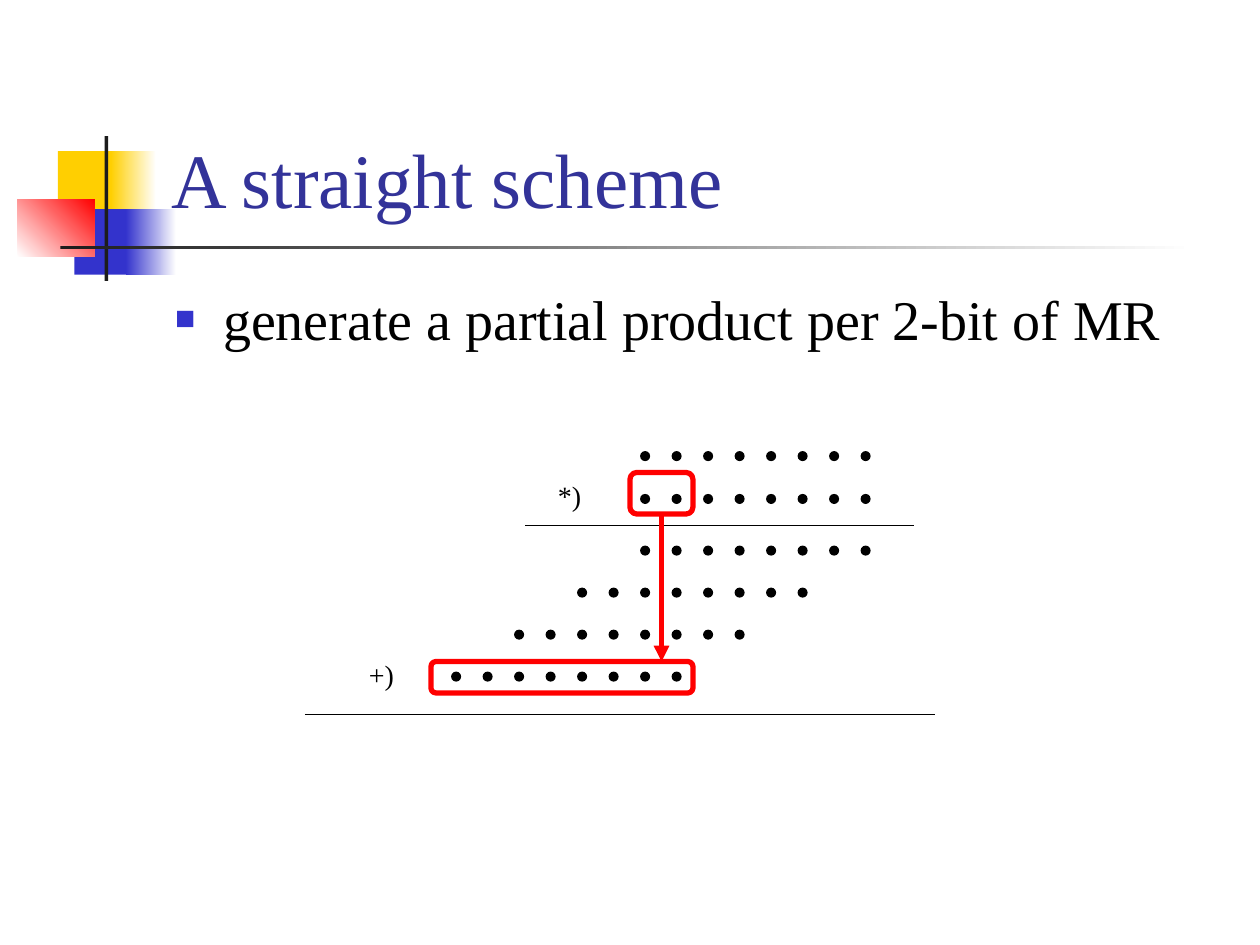
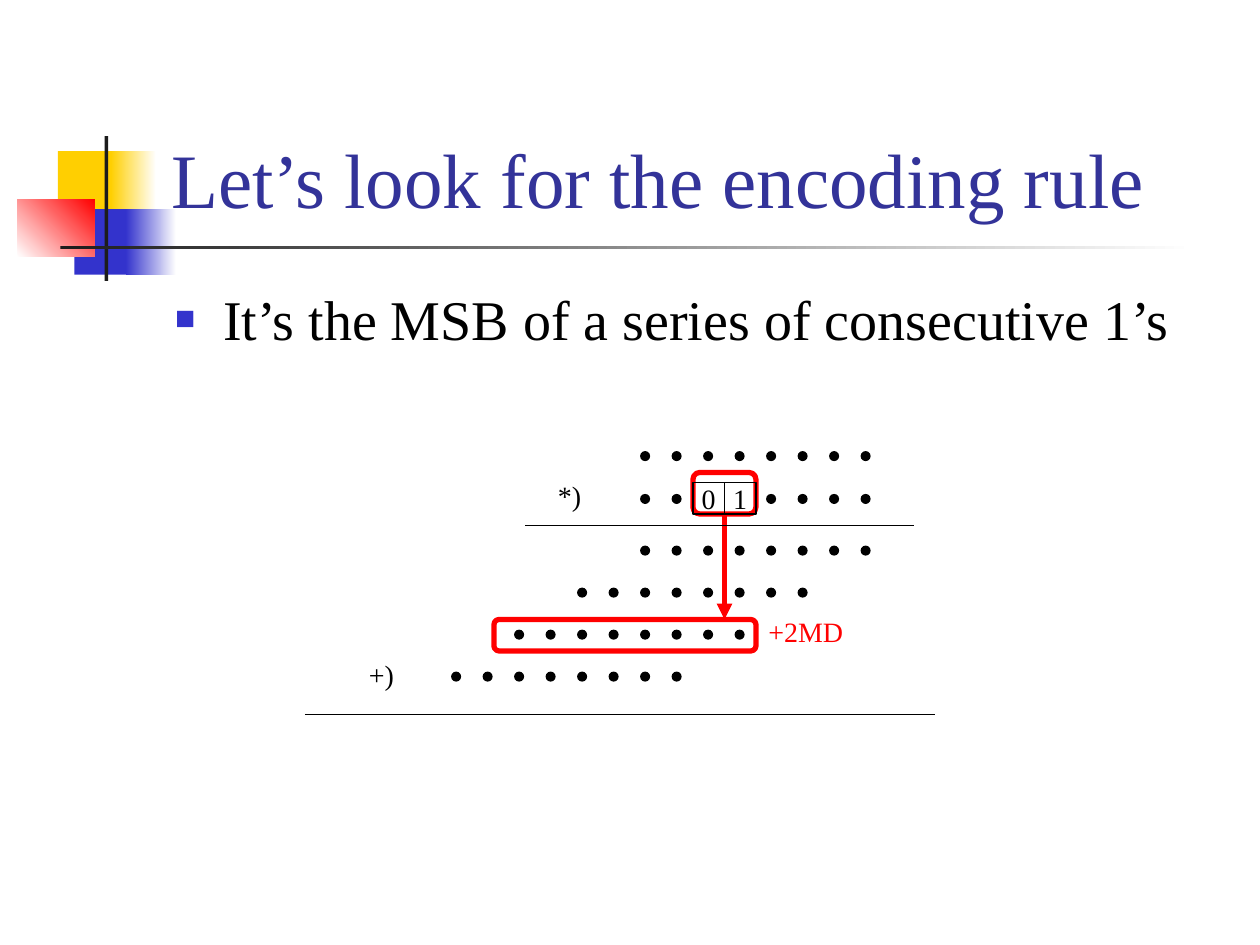
from lxml.etree import SubElement as Sub
from pptx import Presentation
from pptx.dml.color import RGBColor as RGB
from pptx.enum.shapes import MSO_CONNECTOR as Link, MSO_SHAPE as Kind
from pptx.enum.text import MSO_ANCHOR as Anchor, MSO_AUTO_SIZE as Auto, PP_ALIGN as Align
from pptx.oxml.ns import qn
from pptx.util import Inches, Pt

FONT = "Times New Roman"
BLACK, WHITE, RED = "000000", "FFFFFF", "FF0000"
GOLD, BLUE, INDIGO, DARK = "FFCF01", "3333CC", "333399", "1C1C1C"
BANDS = [
    ((0.46, 1.2, 0.48, 0.52), [GOLD], 0),
    ((0.88, 1.2, 0.36, 0.52), [GOLD, WHITE], 0),
    ((0.59, 1.66, 0.46, 0.52), [BLUE], 0),
    ((1, 1.66, 0.4, 0.52), [BLUE, WHITE], 0),
    ((0.14, 1.58, 0.61, 0.46), [WHITE, RED], 45),
    ((0.83, 1.08, 0.03, 1.15), [DARK], 0),
    ((0.48, 1.95, 9, 0.03), [DARK, WHITE], 0),
]
DOT, STEP, PITCH = 0.08, 0.25, 1 / 3
WIDE = 8 * STEP


def tint(code):
    return RGB.from_string(code)


class Deck:
    """Holds the style of the deck and the slide being drawn."""

    def __init__(self):
        self.file = Presentation()
        self.file.slide_width, self.file.slide_height = Inches(10), Inches(7.5)

    def start(self, title, point, height):
        self.slide = self.file.slides.add_slide(self.file.slide_layouts[1])
        self.shapes = self.slide.shapes
        for place, codes, angle in BANDS:
            self.shape(Kind.RECTANGLE, place, codes, angle=angle)
        head, body = self.slide.placeholders
        self.holder(head, (1.26, 0.23, 8.52, 1.6), title, 44, INDIGO, Anchor.BOTTOM)
        self.holder(body, (1.29, 2.21, 8.5, height), point, 32, BLACK, Anchor.TOP)
        self.bullet(body.text_frame.paragraphs[0])

    def holder(self, item, place, text, size, code, anchor):
        item.left, item.top, item.width, item.height = map(Inches, place)
        item.element.getparent().append(item.element)
        frame = item.text_frame
        self.style(frame, text, size, code, Align.LEFT)
        frame.auto_size, frame.vertical_anchor = Auto.NONE, anchor

    def bullet(self, para):
        para.space_before = Pt(6.4)
        props = para._p.get_or_add_pPr()
        props.set("marL", str(Inches(0.38)))
        props.set("indent", str(Inches(-0.38)))
        Sub(Sub(props, qn("a:buClr")), qn("a:srgbClr"), val=BLUE)
        Sub(props, qn("a:buSzPct"), val="60000")
        Sub(props, qn("a:buChar"), char="■")

    def style(self, frame, text, size, code, align):
        frame.text = text
        para = frame.paragraphs[0]
        para.alignment = align
        font = para.runs[0].font
        font.name, font.size, font.color.rgb = FONT, Pt(size), tint(code)

    def shape(self, kind, place, codes=(), edge=None, weight=0.75, angle=0):
        item = self.shapes.add_shape(kind, *map(Inches, place))
        item.shadow.inherit = False
        if len(codes) == 2:
            item.fill.gradient()
            item.fill.gradient_angle = angle
            for stop, code in zip(item.fill.gradient_stops, codes):
                stop.color.rgb = tint(code)
        elif codes:
            item.fill.solid()
            item.fill.fore_color.rgb = tint(codes[0])
        else:
            item.fill.background()
        if edge:
            item.line.color.rgb, item.line.width = tint(edge), Pt(weight)
        else:
            item.line.fill.background()
        return item

    def label(self, place, text, code=BLACK):
        frame = self.shapes.add_textbox(*map(Inches, place)).text_frame
        self.style(frame, text, 16, code, Align.LEFT)
        frame.word_wrap, frame.auto_size = False, Auto.SHAPE_TO_FIT_TEXT

    def line(self, start, end, code=BLACK, weight=0.75):
        item = self.shapes.add_connector(Link.STRAIGHT, *map(Inches, start + end))
        item.line.color.rgb, item.line.width = tint(code), Pt(weight)
        Sub(item.element.spPr, qn("a:effectLst"))
        return item

    def dots(self, left, top, skip=()):
        for col in range(8):
            if col not in skip:
                self.shape(Kind.OVAL, (left + col * STEP, top, DOT, DOT), [BLACK])

    def cell(self, left, text):
        item = self.shape(Kind.RECTANGLE, (left, 3.83, STEP, STEP), edge=BLACK)
        frame = item.text_frame
        self.style(frame, text, 16, BLACK, Align.CENTER)
        frame.word_wrap, frame.vertical_anchor = False, Anchor.MIDDLE

    def sum(self, pair=None, bits=""):
        first = 0 if pair is None else 6 - 2 * pair
        self.dots(5.08, 3.58)
        self.dots(5.08, 3.92, range(first, first + len(bits)))
        for col, bit in enumerate(bits, first):
            self.cell(5 + col * STEP, bit)
        for row in range(4):
            self.dots(5.08 - 2 * row * STEP, 4.33 + row * PITCH)
        self.label((4.33, 3.75, 0.39, 0.37), "*)")
        self.label((2.83, 5.17, 0.4, 0.37), "+)")
        self.line((4.17, 4.17), (7.25, 4.17))
        self.line((2.42, 5.67), (7.42, 5.67))

    def mark(self, pair):
        left, top = 6.5 - 2 * pair * STEP, 4.25 + pair * PITCH
        box = self.shape(Kind.ROUNDED_RECTANGLE, (left, 3.75, 0.5, 0.33), edge=RED, weight=3)
        place = (left + 0.5 - WIDE - DOT, top, WIDE + DOT, 0.25)
        self.shape(Kind.ROUNDED_RECTANGLE, place, edge=RED, weight=3)
        arrow = self.line((left + STEP, 4.08), (left + STEP, top), RED, 3)
        arrow.begin_connect(box, 2)
        Sub(arrow.line._get_or_add_ln(), qn("a:tailEnd"), type="triangle")


def main():
    deck = Deck()
    deck.start("A straight scheme", "generate a partial product per 2-bit of MR", 0.96)
    deck.sum()
    deck.mark(3)

    deck.start("Let’s look for the encoding rule", "It’s the MSB of a series of consecutive 1’s", 0.71)
    deck.mark(2)
    deck.sum(2, "01")
    deck.label((6, 4.83, 0.8, 0.37), "+2MD", RED)
    deck.file.save("out.pptx")


if __name__ == "__main__":
    main()
